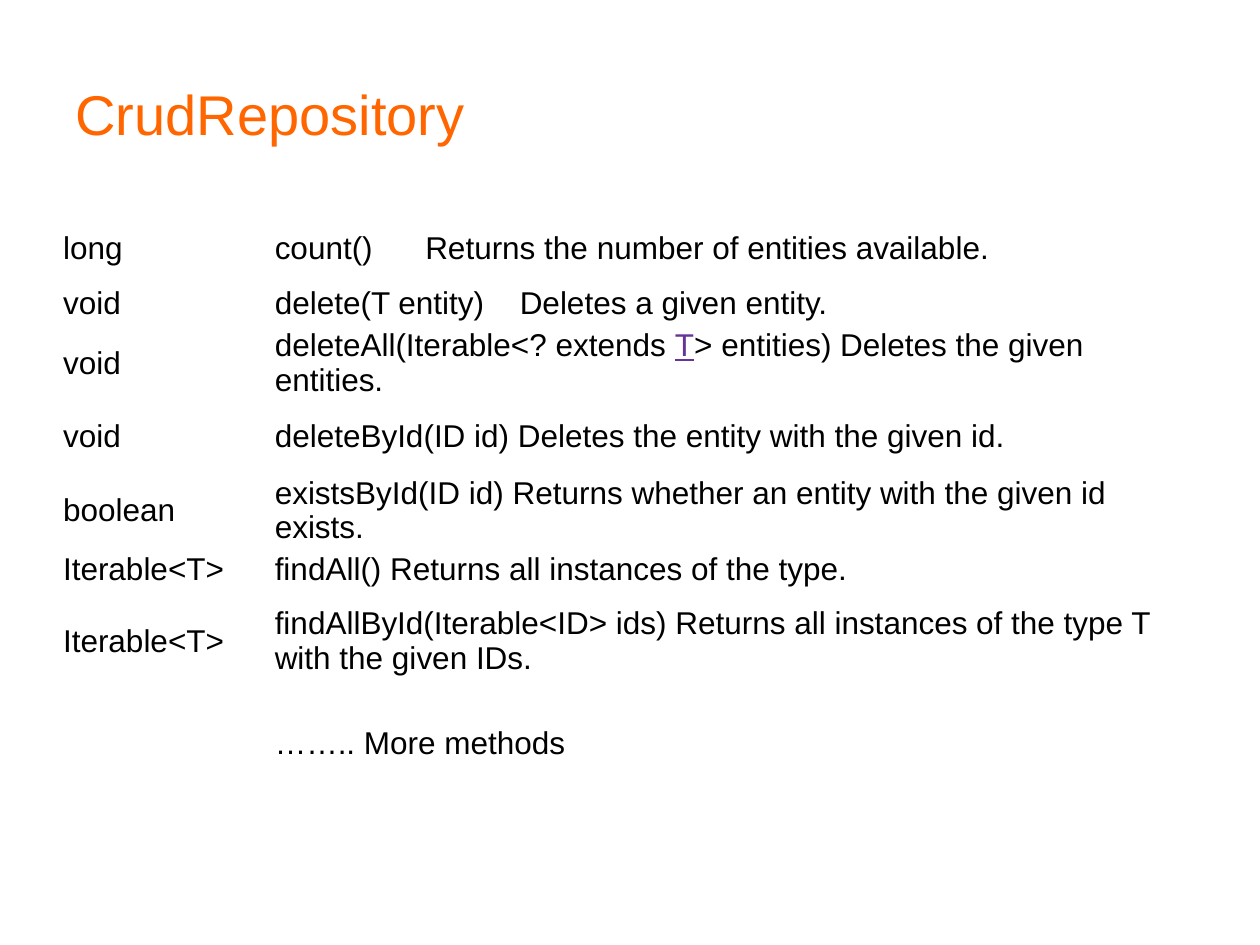
"""Build the CrudRepository slide: a title above a table of repository methods."""
from lxml import etree
from pptx import Presentation
from pptx.dml.color import RGBColor
from pptx.enum.text import MSO_ANCHOR, PP_ALIGN
from pptx.oxml.ns import qn
from pptx.util import Pt

LEFT = PP_ALIGN.LEFT
MIDDLE, BOTTOM = MSO_ANCHOR.MIDDLE, MSO_ANCHOR.BOTTOM
NO_GRID_STYLE = "{2D5ABB26-0587-4C30-8999-92F81FD0307C}"
COLORS = {"title": "FF6600", "text": "000000", "link": "663399"}
COL_WIDTHS = [121, 527]
METHODS = [
    ("long", ["count()\tReturns the number of entities available."], 39.6, 86),
    ("void", ["delete(T entity)\tDeletes a given entity."], 21, 140),
    ("void", ["deleteAll(Iterable<? extends ", "T", "> entities) Deletes the given entities."], 39.6, None),
    ("void", ["deleteById(ID id) Deletes the entity with the given id."], 39.6, None),
    ("boolean", ["existsById(ID id) Returns whether an entity with the given id exists."], 39.6, None),
    ("Iterable<T>", ["findAll() Returns all instances of the type."], 21, None),
    ("Iterable<T>", ["findAllById(Iterable<ID> ids) Returns all instances of the type T with the given IDs."], 58.3, None),
    ("", ["…….. More methods"], 58.3, None),
]


def write(p, parts, size, color):
    p.alignment = LEFT
    p.font.name = "Arial"
    p.font.size = Pt(size)
    p.font.color.rgb = RGBColor.from_string(COLORS[color])
    for part in parts:
        r = p.add_run()
        r.text = part
        if part == "T":
            r.font.underline = True
            r.font.color.rgb = RGBColor.from_string(COLORS["link"])


def add_tab(p, pos):
    tabs = etree.Element(qn("a:tabLst"))
    etree.SubElement(tabs, qn("a:tab"), pos=str(Pt(pos)), algn="l")
    p._p.get_or_add_pPr().find(qn("a:defRPr")).addprevious(tabs)


prs = Presentation()
prs.slide_width, prs.slide_height = Pt(720), Pt(540)
s = prs.slides.add_slide(prs.slide_layouts[6])

tf = s.shapes.add_textbox(Pt(36), Pt(15.5), Pt(642), Pt(72)).text_frame
tf.word_wrap = True
tf.vertical_anchor = BOTTOM
write(tf.paragraphs[0], ["CrudRepository"], 32, "title")

height = sum(row[2] for row in METHODS)
table = s.shapes.add_table(len(METHODS), 2, Pt(34.6), Pt(122.6), Pt(sum(COL_WIDTHS)), Pt(height)).table
table.first_row = table.horz_banding = False
table._tbl.tblPr.find(qn("a:tableStyleId")).text = NO_GRID_STYLE
for col, width in zip(table.columns, COL_WIDTHS):
    col.width = Pt(width)

for i, (kind, method, row_height, tab) in enumerate(METHODS):
    table.rows[i].height = Pt(row_height)
    for j, parts in enumerate(([kind] if kind else [], method)):
        cell = table.cell(i, j)
        cell.fill.background()
        cell.vertical_anchor = MIDDLE
        cell.margin_left = cell.margin_right = Pt(1.44)
        cell.margin_top = cell.margin_bottom = Pt(1.1)
        p = cell.text_frame.paragraphs[0]
        write(p, parts, 18, "text")
        p.line_spacing = 0.98
    if tab:
        add_tab(table.cell(i, 1).text_frame.paragraphs[0], tab)

prs.save("out.pptx")
